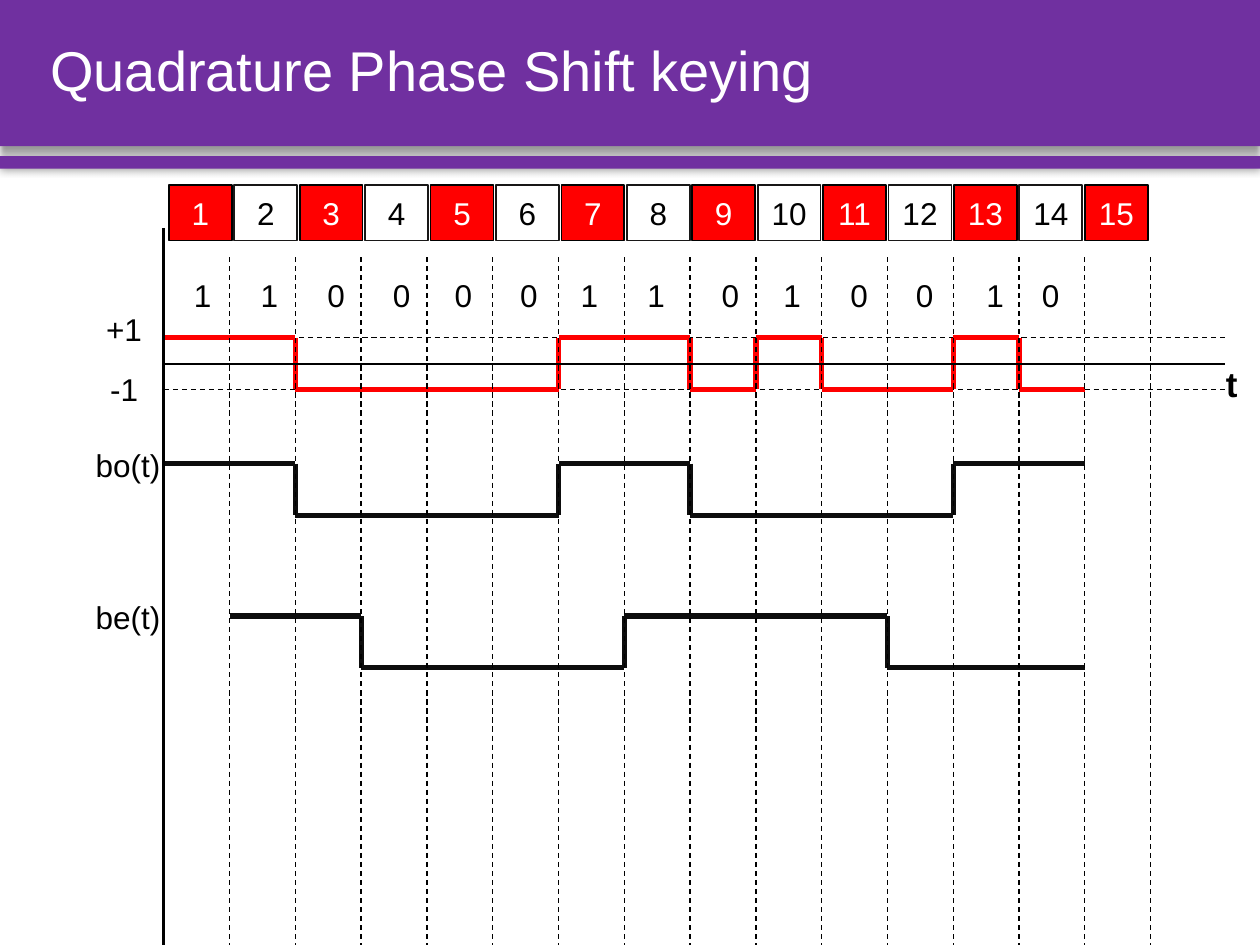
from lxml import etree
from pptx import Presentation
from pptx import util as u
from pptx.dml.color import RGBColor
from pptx.enum import dml, shapes, text
from pptx.oxml.ns import qn

COLORS = {"purple": "7030A0", "white": "FFFFFF", "black": "000000",
          "red": "FF0000", "ink": "0D0D0D", "frame": "181717"}
COLORS = {name: RGBColor.from_string(code) for name, code in COLORS.items()}

deck = Presentation()
deck.slide_width, deck.slide_height = u.Inches(10), u.Inches(7.5)
page = deck.slides.add_slide(deck.slide_layouts[6])

# Lengths are percent of the slide's width (x) and height (y)
X = deck.slide_width / 100
Y = deck.slide_height / 100
AXIS = 13                # left end of the time axis
COLUMN = 73.1 / 14       # one bit period
SWING = 5.47             # from high level down to low level
HIGH = 35.73             # high level of the input signal


def draw_line(x1, y1, x2, y2, color="black", width=0.75, dashed=False):
    line = page.shapes.add_connector(
        shapes.MSO_CONNECTOR.STRAIGHT,
        round(x1 * X), round(y1 * Y), round(x2 * X), round(y2 * Y))
    line.line.color.rgb = COLORS[color]
    line.line.width = u.Pt(width)
    if dashed:
        line.line.dash_style = dml.MSO_LINE.DASH
    etree.SubElement(line._element.spPr, qn("a:effectLst"))


def write_text(box, words, size=18, color="black", align=text.PP_ALIGN.CENTER,
               anchor=text.MSO_ANCHOR.TOP):
    frame = box.text_frame
    frame.word_wrap = True
    frame.vertical_anchor = anchor
    para = frame.paragraphs[0]
    para.text = words
    para.alignment = align
    para.font.size = u.Pt(size)
    para.font.name = "Arial"
    para.font.color.rgb = COLORS[color]
    return para


# Header bars: top, height, shadow blur and shadow distance in points
for top, height, blur, distance in [(0, 15.47, 4, 3), (16.53, 1.33, 5, 0)]:
    bar = page.shapes.add_shape(shapes.MSO_SHAPE.RECTANGLE, 0, round(top * Y),
                                deck.slide_width, round(height * Y))
    bar.shadow.inherit = False
    bar.fill.solid()
    bar.fill.fore_color.rgb = COLORS["purple"]
    bar.line.fill.background()
    shadow = etree.SubElement(
        bar._element.spPr.find(qn("a:effectLst")), qn("a:outerShdw"),
        blurRad=str(u.Pt(blur)), dist=str(u.Pt(distance)),
        dir="5400000" if distance else "0", rotWithShape="0")
    tint = etree.SubElement(shadow, qn("a:srgbClr"), val=str(COLORS["black"]))
    etree.SubElement(tint, qn("a:alpha"), val="40000")

# Title
title = page.shapes.add_textbox(round(3 * X), 0, round(94.6 * X), round(15.47 * Y))
title_para = write_text(title, "Quadrature Phase Shift keying", 32, "white",
                        text.PP_ALIGN.LEFT, text.MSO_ANCHOR.MIDDLE)
title_para.line_spacing = 0.9

# Level guides of the input signal
for level in (HIGH, HIGH + SWING):
    draw_line(AXIS, level, 97.2, level, dashed=True)

# Waves: color, high level, column of each edge, level of each step
bit_edges = [0, 2, 4, 6, 8, 9, 10, 12, 13, 14]
waves = [
    ("red", HIGH, bit_edges, "HLLHLHLHL"),
    ("ink", 49.07, bit_edges, "HLLHLLLHH"),
    ("ink", 65.2, [1, 3, 5, 7, 9, 11, 14], "HLLHHL"),
]
for color, high, edges, levels in waves:
    for step, level in enumerate(levels):
        start, end = (AXIS + edge * COLUMN for edge in edges[step:step + 2])
        y = high if level == "H" else high + SWING
        if step and level != levels[step - 1]:
            draw_line(start, high, start, high + SWING, color, 3)
        draw_line(start, y, end, y, color, 3)

# Bit boundaries
for column in range(1, 16):
    x = AXIS + column * COLUMN
    draw_line(x, 27.2, x, 100, dashed=True)

# Axes
draw_line(AXIS, 24.13, AXIS, 100, width=1.5)
draw_line(AXIS, 38.53, 97.2, 38.53, width=1.5)

# Bit values and signal labels: words, left, top, width
bit_lefts = [14.4, 19.7, 25, 30.2, 35.1, 40.3, 45.1,
             50.4, 56.3, 61.2, 66.5, 71.7, 77.3, 81.7]
labels = [(bit, left, 28.53, 2.3) for bit, left in zip("11000011010010", bit_lefts)]
labels += [("+1", 7.2, 32.13, 5.3), ("-1", 7.2, 38.53, 5.3),
           ("bo(t)", 6.2, 46.53, 7.9), ("be(t)", 6.2, 62.67, 7.9)]
for words, left, top, width in labels:
    label = page.shapes.add_textbox(round(left * X), round(top * Y),
                                    round(width * X), round(5.33 * Y))
    write_text(label, words)

time_label = page.shapes.add_textbox(round(96.3 * X), round(37.73 * Y),
                                     round(2.5 * X), round(5.87 * Y))
write_text(time_label, "t", 20, align=text.PP_ALIGN.LEFT).font.bold = True

# Numbered bit boxes, odd ones red
for number in range(1, 16):
    odd = number % 2 == 1
    left = 13.4 + (number - 1) * 72.7 / 14
    box = page.shapes.add_shape(shapes.MSO_SHAPE.RECTANGLE, round(left * X),
                                round(19.6 * Y), round(5 * X), round(5.87 * Y))
    box.shadow.inherit = False
    if odd:
        box.fill.solid()
        box.fill.fore_color.rgb = COLORS["red"]
    else:
        box.fill.background()
    box.line.color.rgb = COLORS["black" if odd else "frame"]
    box.line.width = u.Pt(1)
    write_text(box, str(number), color="white" if odd else "black",
               anchor=text.MSO_ANCHOR.MIDDLE)

deck.save("out.pptx")
